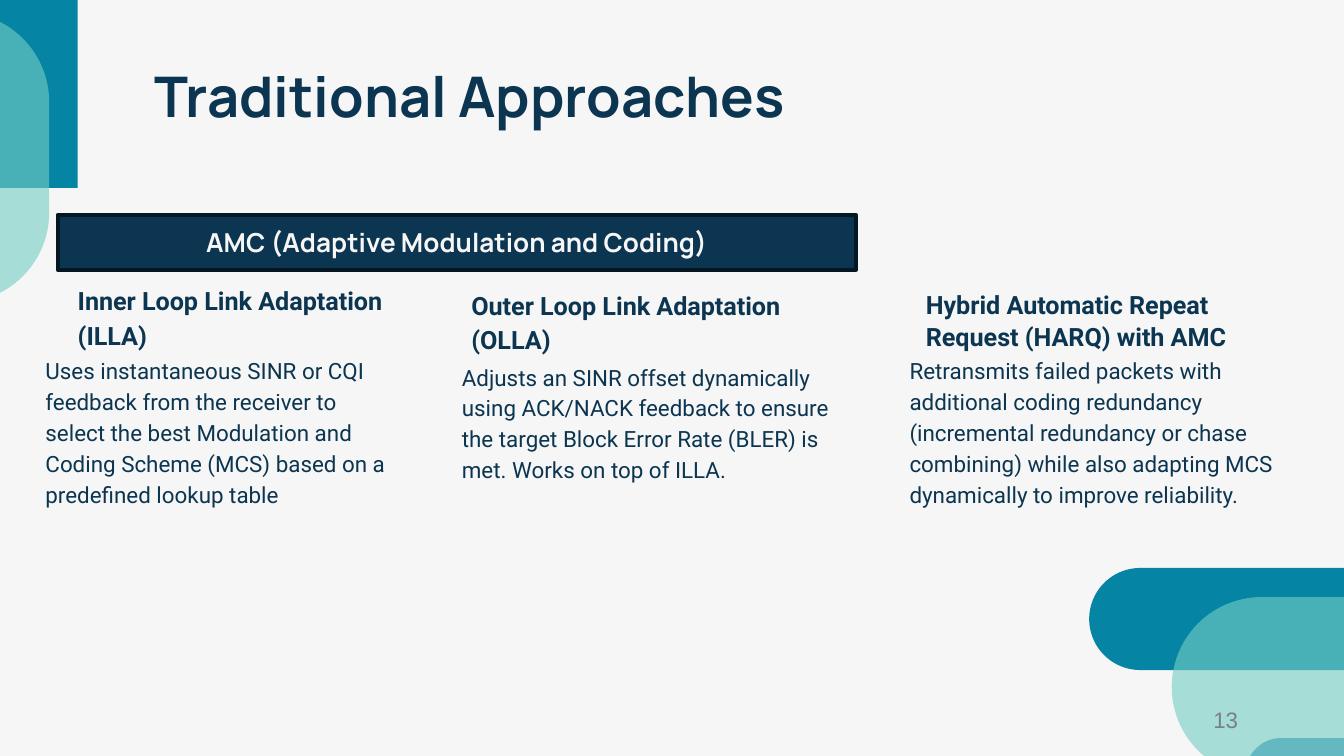
from pptx import Presentation
from pptx.dml.color import RGBColor
from pptx.enum.shapes import MSO_SHAPE as Kind
from pptx.enum.text import MSO_ANCHOR as Anchor, PP_ALIGN as Align
from pptx.oxml.ns import qn
from pptx.util import Cm, Pt
from lxml.etree import SubElement

NAVY, BLUE, MINT, PALE = "0B3550", "0584A4", "74CEC4", "F6F6F6"
EDGE, GREY = "051723", "797F88"
PAD = 0.25


def paint(fill, tone):
    fill.solid()
    fill.fore_color.rgb = RGBColor.from_string(tone)


def write(frame, text, size=12, font="Roboto", tone=NAVY, bold=False,
          align=Align.LEFT, anchor=Anchor.TOP, gap=1.0, pad=PAD):
    frame.word_wrap = True
    frame.vertical_anchor = anchor
    frame.margin_left = frame.margin_right = Cm(PAD)
    frame.margin_top = frame.margin_bottom = Cm(pad)
    para = frame.paragraphs[0]
    para.alignment = align
    para.line_spacing = gap
    run = para.add_run()
    run.text = text
    run.font.size = Pt(size)
    run.font.name = font
    run.font.bold = bold
    paint(run.font.fill, tone)


def label(slide, box, text, **form):
    area = slide.shapes.add_textbox(*map(Cm, box))
    write(area.text_frame, text, **form)


def block(shapes, kind, box, tone, alpha=100, turn=0):
    shape = shapes.add_shape(kind, *map(Cm, box))
    shape.shadow.inherit = False
    paint(shape.fill, tone)
    shape.line.fill.background()
    shape.rotation = turn
    if kind == Kind.ROUND_2_SAME_RECTANGLE:
        shape.adjustments[0], shape.adjustments[1] = 0.5, 0
    elif kind == Kind.ROUNDED_RECTANGLE:
        shape.adjustments[0] = 0.5
    if alpha < 100:
        clr = shape.element.spPr.find(qn("a:solidFill")).find(qn("a:srgbClr"))
        SubElement(clr, qn("a:alpha")).set("val", str(alpha * 1000))
    return shape


def corner(slide, x, y, parts, turn=0):
    """Overlapping rounded shapes, placed from the point x, y."""
    group = slide.shapes.add_group_shape()
    for kind, dx, dy, wide, high, tone, alpha in parts:
        block(group.shapes, kind, (x + dx, y + dy, wide, high),
              tone, alpha, turn)


def column(slide, box, head, body, inset, lap, high=1.83, gap=1.15):
    """Body text in the box, with a heading whose foot laps over its top."""
    x, y, _, _ = box
    label(slide, (x + inset, y + lap - high, 6.65, high), head,
          size=13.5, bold=True, anchor=Anchor.BOTTOM, gap=gap)
    label(slide, box, body, gap=1.15)


def banner(slide, box, text):
    bar = block(slide.shapes, Kind.RECTANGLE, box, NAVY)
    paint(bar.line.fill, EDGE)
    bar.line.width = Pt(2)
    write(bar.text_frame, text, size=14, font="Manrope", tone=PALE,
          bold=True, align=Align.CENTER, anchor=Anchor.MIDDLE, pad=0.13)


def main():
    deck = Presentation()
    deck.slide_width, deck.slide_height = Cm(25.4), Cm(14.29)
    slide = deck.slides.add_slide(deck.slide_layouts[6])
    paint(slide.background.fill, PALE)
    tab, pill = Kind.ROUND_2_SAME_RECTANGLE, Kind.ROUNDED_RECTANGLE

    # Bottom right corner
    corner(slide, 22.07, 9.25, [
        (tab, 0, 0, 1.93, 4.9, BLUE, 100),
        (pill, 1.12, 0.99, 3.4, 5.49, MINT, 61),
        (tab, 2.85, 3.32, 1.35, 4.11, BLUE, 41),
    ], turn=270)

    # Title
    label(slide, (2.67, 0.91, 21.34, 1.27), "Traditional Approaches",
          size=30, font="Manrope", bold=True)

    # Three columns
    column(slide, (0.61, 6.43, 7.24, 3.86),
           "Inner Loop Link Adaptation (ILLA)",
           "Uses instantaneous SINR or CQI feedback from the receiver to "
           "select the best Modulation and Coding Scheme (MCS) based on a "
           "predefined lookup table", inset=0.61, lap=0.45)
    column(slide, (8.48, 6.55, 7.85, 3.51),
           "Outer Loop Link Adaptation (OLLA)",
           "Adjusts an SINR offset dynamically using ACK/NACK feedback to "
           "ensure the target Block Error Rate (BLER) is met. Works on top "
           "of ILLA.", inset=0.18, lap=0.41)
    column(slide, (16.94, 6.43, 7.85, 4.01),
           "Hybrid Automatic Repeat Request (HARQ) with AMC",
           "Retransmits failed packets with additional coding redundancy "
           "(incremental redundancy or chase combining) while also adapting "
           "MCS dynamically to improve reliability.",
           inset=0.31, lap=0.46, high=1.78, gap=1.05)

    # Page number
    label(slide, (17.93, 13.23, 5.72, 0.76), "13", font="Arial", tone=GREY,
          align=Align.RIGHT, anchor=Anchor.MIDDLE, pad=0.13)

    # Top left corner
    corner(slide, -0.46, -1.35, [
        (tab, 0, 0, 1.93, 4.9, BLUE, 100),
        (pill, -2.01, 1.58, 3.4, 5.49, MINT, 61),
    ])

    # Banner over the first two columns
    banner(slide, (1.09, 4.06, 15.09, 1.04),
           "AMC (Adaptive Modulation and Coding)")

    deck.save("out.pptx")


if __name__ == "__main__":
    main()
